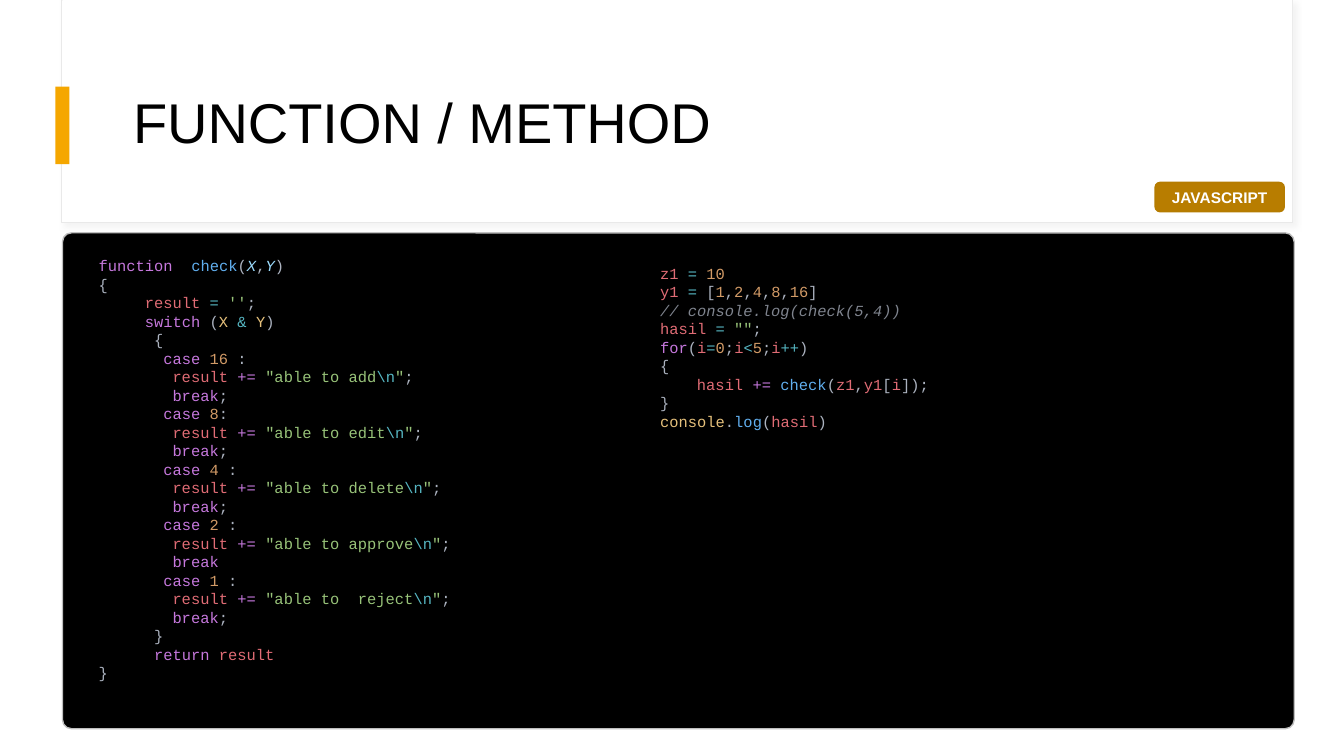
from dataclasses import dataclass

from lxml import etree
from pptx import Presentation
from pptx.dml.color import RGBColor
from pptx.enum.shapes import MSO_SHAPE
from pptx.enum.text import MSO_ANCHOR, PP_ALIGN
from pptx.oxml.ns import qn
from pptx.util import Pt

RECT, ROUND = MSO_SHAPE.RECTANGLE, MSO_SHAPE.ROUNDED_RECTANGLE
MIDDLE, TOP = MSO_ANCHOR.MIDDLE, MSO_ANCHOR.TOP
LEFT, CENTER = PP_ALIGN.LEFT, PP_ALIGN.CENTER
SANS, MONO = "Arial", "Courier New"
SIZE, PITCH, CHAR = 11, 13.2, 6.6  # code font size, line height, letter width

# Code colours, by the letter that opens each token
HUES = {
    "k": "C678DD",  # keyword
    "f": "61AFEF",  # function
    "p": "ABB2BF",  # plain
    "a": "9CDCFE",  # argument
    "v": "E06C75",  # variable
    "o": "56B6C2",  # operator
    "s": "98C379",  # string
    "c": "E5C07B",  # constant
    "n": "D19A66",  # number
    "r": "7F848E",  # remark
}
SLANTED = "ar"

Box = tuple[float, float, float, float]


@dataclass
class Panel:
    box: Box
    fill: str
    line: str = ""
    width: float = 1
    kind: int = RECT
    bend: float = 0
    shade: bool = False


@dataclass
class Code:
    box: Box
    skip: int  # empty lines above the code
    lines: list[tuple[int, str]]  # indent in letters, tokens


def color(text: str) -> RGBColor:
    return RGBColor.from_string(text)


def place(shape, box: Box) -> None:
    shape.left, shape.top, shape.width, shape.height = map(Pt, box)


def add_shade(shape) -> None:
    effects = shape._element.spPr.find(qn("a:effectLst"))
    outer = etree.SubElement(effects, qn("a:outerShdw"), blurRad=str(Pt(4)),
                             dist=str(Pt(3)), dir="2700000")
    tint = etree.SubElement(outer, qn("a:srgbClr"), val="D9D9D9")
    etree.SubElement(tint, qn("a:alpha"), val="30000")


def draw_panel(slide, panel: Panel):
    shape = slide.shapes.add_shape(panel.kind, *map(Pt, panel.box))
    shape.shadow.inherit = False
    shape.fill.solid()
    shape.fill.fore_color.rgb = color(panel.fill)
    if panel.line:
        shape.line.color.rgb = color(panel.line)
        shape.line.width = Pt(panel.width)
    else:
        shape.line.fill.background()
    if panel.bend:
        shape.adjustments[0] = panel.bend
    if panel.shade:
        add_shade(shape)
    return shape


def write(shape, text: str, size: float, hue: str, align: int, bold: bool) -> None:
    frame = shape.text_frame
    frame.text = text
    frame.word_wrap = True
    frame.vertical_anchor = MIDDLE
    para = frame.paragraphs[0]
    para.alignment = align
    font = para.font
    font.name, font.size, font.bold = SANS, Pt(size), bold
    font.color.rgb = color(hue)


def draw_code(slide, code: Code) -> None:
    frame = slide.shapes.add_textbox(*map(Pt, code.box)).text_frame
    frame.word_wrap = True
    frame.vertical_anchor = TOP
    frame.margin_top = Pt(3.6 + code.skip * PITCH)
    for row, (indent, text) in enumerate(code.lines):
        para = frame.add_paragraph() if row else frame.paragraphs[0]
        para.line_spacing = Pt(PITCH)
        para.font.name, para.font.size = MONO, Pt(SIZE)
        para._p.get_or_add_pPr().set("marL", str(Pt(indent * CHAR)))
        for token in text.split("|"):
            run = para.add_run()
            run.text = token[1:]
            run.font.color.rgb = color(HUES[token[0]])
            if token[0] in SLANTED:
                run.font.italic = True


# Switch cases: number, colon, action, end of the break line
CASES = [
    ("16", " :", "add", "|p;"),
    ("8", ":", "edit", "|p;"),
    ("4", " :", "delete", "|p;"),
    ("2", " :", "approve", ""),
    ("1", " :", " reject", "|p;"),
]
BRANCHES = [
    line
    for num, colon, act, end in CASES
    for line in (
        (7, f"kcase |n{num}|p{colon}"),
        (8, f'vresult |k+= |s"able to {act}|o\\n|s"|p;'),
        (8, f"kbreak{end}"),
    )
]

CHECK = Code((63.36, 166.3, 365, 326.9), 1, [
    (0, "kfunction  |fcheck|p(|aX|p,|aY|p)"),
    (0, "p{"),
    (5, "vresult |o= |s''|p;"),
    (5, "kswitch|p (|cX |o& |cY|p)"),
    (6, "p{"),
    *BRANCHES,
    (6, "p}"),
    (6, "kreturn |vresult"),
    (0, "p}"),
])
LOOP = Code((464.4, 158.4, 365, 180.7), 2, [
    (0, "vz1 |o= |n10"),
    (0, "vy1 |o=|p [|n1|p,|n2|p,|n4|p,|n8|p,|n16|p]"),
    (0, "r// console.log(check(5,4))"),
    (0, 'vhasil |o= |s""|p;'),
    (0, "kfor|p(|vi|o=|n0|p;|vi|o<|n5|p;|vi|o++|p)"),
    (0, "p{"),
    (4, "vhasil |k+= |fcheck|p(|vz1|p,|vy1|p[|vi|p]);"),
    (0, "p}"),
    (0, "cconsole|p.|flog|p(|vhasil|p)"),
])

PANELS = [
    Panel((43.92, 0, 879.1, 159.1), "FFFFFF", "E9E9E9", 0.75, shade=True),
    Panel((44.64, 0, 878.4, 158.4), "FFFFFF"),
    Panel((39.6, 61.92, 10.1, 55.44), "F5A700"),
    Panel((44.64, 166.3, 879.8, 354.2), "000000", "BFBFBF", 1, ROUND, 0.018),
]
BADGE = Panel((825.1, 130.3, 92.2, 20.9), "B87D00", "B57C00", 1, ROUND)

# Slide
deck = Presentation()
deck.slide_width, deck.slide_height = Pt(960), Pt(540)
slide = deck.slides.add_slide(deck.slide_layouts[5])

# Header, dark panel and badge
for panel in PANELS:
    draw_panel(slide, panel)
write(draw_panel(slide, BADGE), "JAVASCRIPT", 11, "FFFFFF", CENTER, True)

# Code
for code in (CHECK, LOOP):
    draw_code(slide, code)

# Title, in front of the header
title = slide.shapes.title
place(title, (87.84, 43.2, 800.6, 92.9))
write(title, "FUNCTION / METHOD", 40, "000000", LEFT, False)
title.text_frame.paragraphs[0].line_spacing = 0.9
slide.shapes._spTree.append(title._element)

deck.save("out.pptx")
